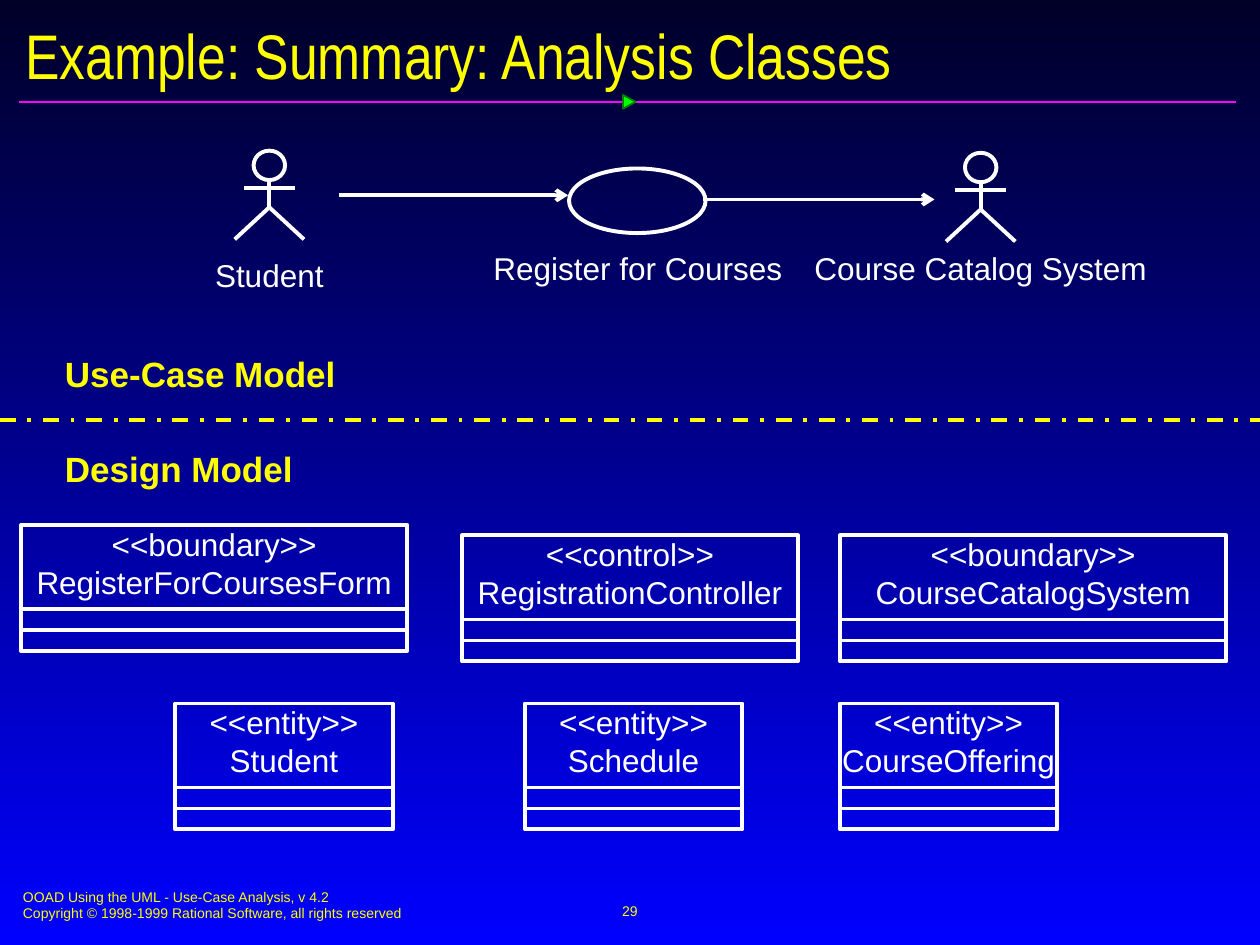
import pptx
import pptx.util
import pptx.dml.color
import pptx.enum.dml
import pptx.enum.shapes
import pptx.enum.text
import pptx.oxml.ns
import lxml.etree

SHAPE = pptx.enum.shapes.MSO_SHAPE
ALIGN = pptx.enum.text.PP_ALIGN
ANCHOR = pptx.enum.text.MSO_ANCHOR
rgb = pptx.dml.color.RGBColor.from_string
qn = pptx.oxml.ns.qn
Pt = pptx.util.Pt
WHITE, YELLOW = "FFFFFF", "FFFF00"

prs = pptx.Presentation()
prs.slide_width = pptx.util.Inches(10)
prs.slide_height = pptx.util.Inches(7.5)
s = prs.slides.add_slide(prs.slide_layouts[5])
U = prs.slide_width / 120  # grid of 120 columns by 90 rows


def draw(x, y, w, h, kind=None, color=WHITE, width=2.25):
    """Outlined preset shape, or a straight line when no kind is given."""
    x, y, w, h = [round(v * U) for v in (x, y, w, h)]
    if kind is None:
        line = pptx.enum.shapes.MSO_CONNECTOR.STRAIGHT
        sp = s.shapes.add_connector(line, x, y, x + w, y + h)
    else:
        sp = s.shapes.add_shape(kind, x, y, w, h)
        sp.shadow.inherit = False
        sp.fill.background()
    sp.line.color.rgb = rgb(color)
    sp.line.width = Pt(width)
    if kind is None:
        lxml.etree.SubElement(sp._element.spPr, qn("a:effectLst"))
    return sp


def write(sp, x, y, w, h, lines, size, color=WHITE, align=ALIGN.CENTER,
          bold=False, font="Arial", wrap=True, inset=1.2, anchor=ANCHOR.TOP):
    """Place a text shape (a new box when sp is None) and fill it."""
    x, y, w, h = [round(v * U) for v in (x, y, w, h)]
    sp = sp or s.shapes.add_textbox(x, y, w, h)
    sp.left, sp.top, sp.width, sp.height = x, y, w, h
    tf = sp.text_frame
    tf.auto_size = pptx.enum.text.MSO_AUTO_SIZE.NONE
    tf.word_wrap = wrap
    tf.vertical_anchor = anchor
    tf.margin_left = tf.margin_right = round(inset * U)
    tf.margin_top = tf.margin_bottom = round(inset / 2 * U)
    for i, text in enumerate(lines):
        p = tf.add_paragraph() if i else tf.paragraphs[0]
        p.alignment = align
        r = p.add_run()
        r.text = text
        r.font.name, r.font.size, r.font.bold = font, Pt(size), bold
        r.font.color.rgb = rgb(color)


# Background
fill = s.background.fill
fill.gradient()
fill.gradient_angle = 270
for stop, color, position in zip(fill.gradient_stops, ("000028", "0000FF"), (0, 1)):
    stop.color.rgb = rgb(color)
    stop.position = position

# Title and its rule
write(s.shapes.title, 1.2, 1.7, 118, 7, ["Example: Summary: Analysis Classes"], 36,
      YELLOW, ALIGN.LEFT, font="Arial Narrow", anchor=ANCHOR.MIDDLE)
draw(1.8, 9.7, 115.9, 0, color="FF01FF", width=1)
sp = draw(59.28, 9.1, 1.32, 1.2, SHAPE.ISOSCELES_TRIANGLE, "037C03", 1)
sp.rotation = 90
sp.fill.solid()
sp.fill.fore_color.rgb = rgb("00FF00")

# Footer
write(None, 1, 84, 61.2, 4.4, ["OOAD Using the UML - Use-Case Analysis, v 4.2",
      "Copyright © 1998-1999 Rational Software, all rights reserved"], 8, YELLOW, ALIGN.LEFT)
write(None, 41, 83.8, 38, 6, ["29"], 8, YELLOW, wrap=False, anchor=ANCHOR.MIDDLE)

# Actors: centre column, top row
for cx, y in ((25.65, 14.35), (93.4, 14.55)):
    draw(cx - 1.5, y, 3, 2.8, SHAPE.OVAL)
    draw(cx, y + 2.8, 0, 2.6)
    draw(cx - 2.4, y + 3.55, 4.8, 0)
    legs = s.shapes.build_freeform(round((cx - 3.3) * U), round((y + 8.45) * U))
    legs.add_line_segments([(round(cx * U), round((y + 5.4) * U)),
                            (round((cx + 3.3) * U), round((y + 8.45) * U))], close=False)
    sp = legs.convert_to_shape()
    sp.shadow.inherit = False
    sp.fill.background()
    sp.line.color.rgb = rgb(WHITE)
    sp.line.width = Pt(2.25)

# Use case, arrows and captions
draw(54.2, 16.05, 13, 6.15, SHAPE.OVAL)
for x, y, w in ((32.3, 18.6, 21.8), (67, 19, 22)):
    sp = draw(x, y, w, 0)
    lxml.etree.SubElement(sp.line._get_or_add_ln(), qn("a:tailEnd"), type="arrow")
for x, y, w, text in ((19, 23.8, 13.3, "Student"),
                      (43.65, 23.1, 34.2, "Register for Courses"),
                      (76, 23.1, 34.8, "Course Catalog System")):
    write(None, x, y, w, 4.8, [text], 18)

# Divider between the two models
sp = draw(0, 40, 120, 0, color=YELLOW)
sp.line.dash_style = pptx.enum.dml.MSO_LINE.DASH_DOT
for y, text in ((33, "Use-Case Model"), (42, "Design Model")):
    write(None, 5, y, 33, 5.2, [text], 20, YELLOW, ALIGN.LEFT, bold=True)

# Analysis classes: column, row, width, stereotype, name
for x, y, w, stereotype, name in (
        (2, 50, 36.8, "boundary", "RegisterForCoursesForm"),
        (80, 51, 36.8, "boundary", "CourseCatalogSystem"),
        (44, 51, 32, "control", "RegistrationController"),
        (16.7, 67, 20.7, "entity", "Student"),
        (50, 67, 20.7, "entity", "Schedule"),
        (80, 67, 20.7, "entity", "CourseOffering")):
    draw(x, y, w, 12, SHAPE.RECTANGLE)
    for row in (8, 10):
        draw(x, y + row, w, 0)
    write(None, x, y, w, 7.2, [f"<<{stereotype}>>", name], 18, wrap=False, inset=0)

prs.save("out.pptx")
